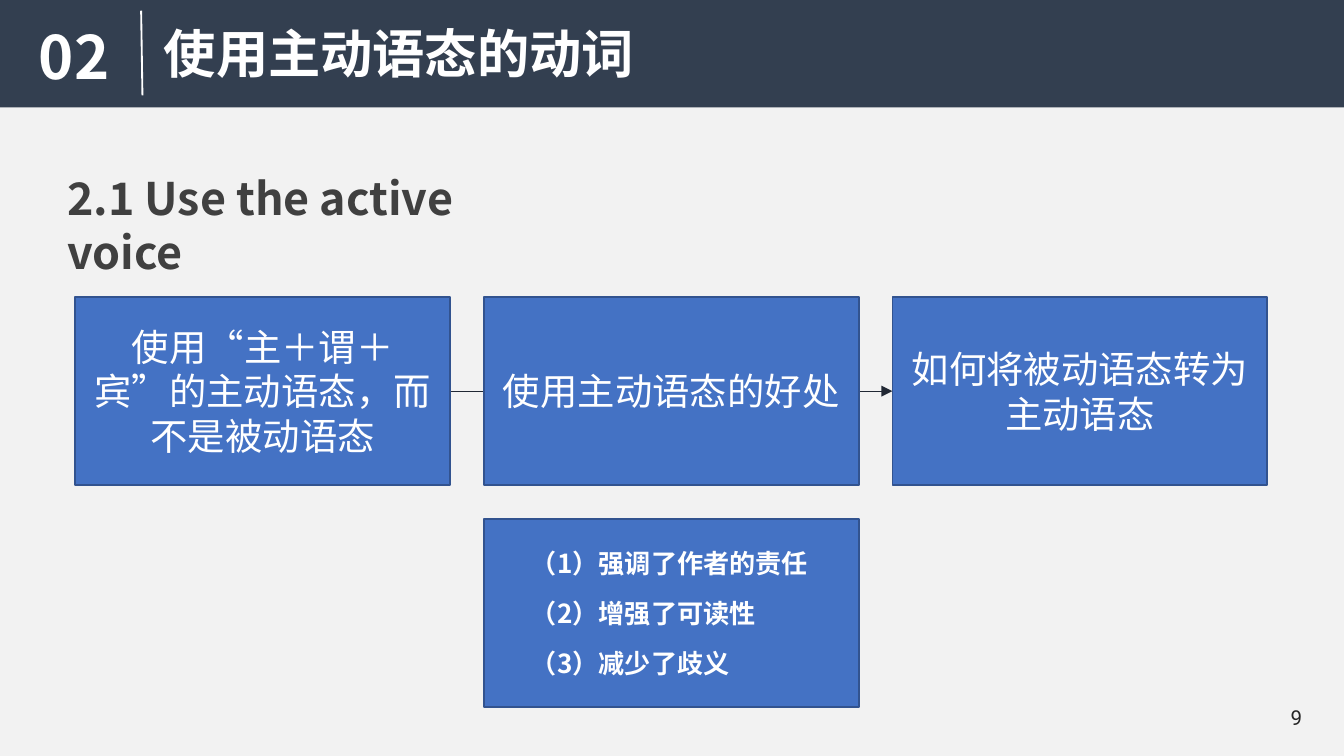
from lxml import etree
from pptx import Presentation
from pptx.dml.color import RGBColor
from pptx.enum.shapes import MSO_CONNECTOR, MSO_SHAPE
from pptx.enum.text import MSO_ANCHOR, MSO_AUTO_SIZE, PP_ALIGN
from pptx.oxml.ns import qn
from pptx.util import Inches, Pt

RECT, STRAIGHT = MSO_SHAPE.RECTANGLE, MSO_CONNECTOR.STRAIGHT
TOP, MIDDLE = MSO_ANCHOR.TOP, MSO_ANCHOR.MIDDLE
LEFT, CENTER, RIGHT = PP_ALIGN.LEFT, PP_ALIGN.CENTER, PP_ALIGN.RIGHT
NO_FIT = MSO_AUTO_SIZE.NONE

WHITE = RGBColor(0xFF, 0xFF, 0xFF)
PAPER = RGBColor(0xF2, 0xF2, 0xF2)
NAVY = RGBColor(0x33, 0x3F, 0x50)
BLUE = RGBColor(0x44, 0x72, 0xC4)
BLUE_EDGE = RGBColor(0x32, 0x53, 0x8F)
ARROW = RGBColor(0x21, 0x28, 0x34)
GREY = RGBColor(0x40, 0x40, 0x40)
INK = RGBColor(0x26, 0x26, 0x26)
CJK = "Noto Sans CJK SC"

SLIDE_W = 10
SLIDE_H = SLIDE_W * 9 / 16
CARD_W, CARD_H, GAP = 2.79, 1.4, 0.25
GRID_X, GRID_Y = 0.56, 2.21

STEPS = ["使用“主＋谓＋宾”的主动语态，而不是被动语态",
         "使用主动语态的好处",
         "如何将被动语态转为主动语态"]
BENEFITS = ["（1）强调了作者的责任", "（2）增强了可读性", "（3）减少了歧义"]


def cell(col, row):
    return (GRID_X + col * (CARD_W + GAP), GRID_Y + row * (CARD_H + GAP),
            CARD_W, CARD_H)


def write(sp, lines, size, color, font=CJK, bold=False, align=LEFT,
          anchor=TOP, wrap=True, before=0, spacing=1.0, indent=0):
    tf = sp.text_frame
    tf.auto_size = NO_FIT
    tf.word_wrap = wrap
    tf.vertical_anchor = anchor
    tf.margin_left = tf.margin_right = Inches(0.05)
    tf.margin_top = tf.margin_bottom = Inches(0.05)
    tf.text = "\n".join(lines)
    for p in tf.paragraphs:
        p.alignment = align
        p.space_before = Pt(before)
        p.line_spacing = spacing
        pPr = p._p.get_or_add_pPr()
        pPr.set("marL", str(Inches(indent)))
        pPr.set("indent", "0")
        etree.SubElement(pPr, qn("a:buNone"))
        r = p.runs[0]
        r.font.size, r.font.bold, r.font.name = Pt(size), bold, font
        r.font.color.rgb = color
        etree.SubElement(r._r.get_or_add_rPr(), qn("a:ea"), typeface=CJK)


def add_text(slide, box, text, size, color, **fmt):
    sp = slide.shapes.add_textbox(*map(Inches, box))
    write(sp, [text], size, color, **fmt)


def add_rect(slide, box, fill, edge=None):
    sp = slide.shapes.add_shape(RECT, *map(Inches, box))
    sp.shadow.inherit = False
    sp.fill.solid()
    sp.fill.fore_color.rgb = fill
    if edge is None:
        sp.line.fill.background()
    else:
        sp.line.color.rgb = edge
        sp.line.width = Pt(1)
    return sp


def add_line(slide, start, end, color, width, arrow=False):
    cx = slide.shapes.add_connector(STRAIGHT, *map(Inches, start + end))
    cx.line.color.rgb = color
    cx.line.width = Pt(width)
    if arrow:
        ln = cx._element.spPr.find(qn("a:ln"))
        etree.SubElement(ln, qn("a:tailEnd"), type="triangle")
    etree.SubElement(cx._element.spPr, qn("a:effectLst"))


def fill_placeholder(slide, sp, box, lines, size, color, **fmt):
    sp.left, sp.top, sp.width, sp.height = map(Inches, box)
    write(sp, lines, size, color, **fmt)
    slide.shapes._spTree.append(sp._element)


def add_header(slide):
    add_rect(slide, (0, 0, SLIDE_W, 0.8), NAVY)
    fill_placeholder(slide, slide.shapes.title, (1.17, 0.11, 4.38, 0.66),
                     ["使用主动语态的动词"], 28, WHITE, bold=True)
    add_text(slide, (0.24, 0.16, 0.75, 0.63), "02", 32, WHITE,
             bold=True, before=10, spacing=0.9)
    add_line(slide, (1.05, 0.08), (1.06, 0.71), WHITE, 1)


def add_steps(slide):
    mid_y = GRID_Y + CARD_H / 2
    first_right = GRID_X + CARD_W
    center_x, last_left = SLIDE_W / 2, cell(2, 0)[0]
    add_line(slide, (first_right, mid_y), (center_x, mid_y), ARROW, 0.5, arrow=True)
    add_line(slide, (center_x, mid_y), (last_left, mid_y), ARROW, 0.5, arrow=True)
    for col, text in enumerate(STEPS):
        sp = add_rect(slide, cell(col, 0), BLUE, BLUE_EDGE)
        write(sp, [text], 20, WHITE, font="Calibri", align=CENTER, anchor=MIDDLE)


def add_benefits(slide):
    box = cell(1, 1)
    add_rect(slide, box, BLUE, BLUE_EDGE)
    x, y, w, h = box
    fill_placeholder(slide, slide.placeholders[1], (x - 0.2, y, w, h), BENEFITS,
                     14, WHITE, bold=True, anchor=MIDDLE, before=10, indent=0.5)


def main():
    prs = Presentation()
    prs.slide_width, prs.slide_height = Inches(SLIDE_W), Inches(SLIDE_H)
    slide = prs.slides.add_slide(prs.slide_layouts[1])
    slide.background.fill.solid()
    slide.background.fill.fore_color.rgb = PAPER
    add_header(slide)
    add_text(slide, (0.45, 1.22, 3.86, 0.5), "2.1 Use the active voice", 24, GREY,
             bold=True)
    add_steps(slide)
    add_benefits(slide)
    add_text(slide, (9.54, 5.2, 0.2, 0.28), "9", 11, INK, font="Roboto",
             align=RIGHT, anchor=MIDDLE, wrap=False)
    prs.save("out.pptx")


if __name__ == "__main__":
    main()
